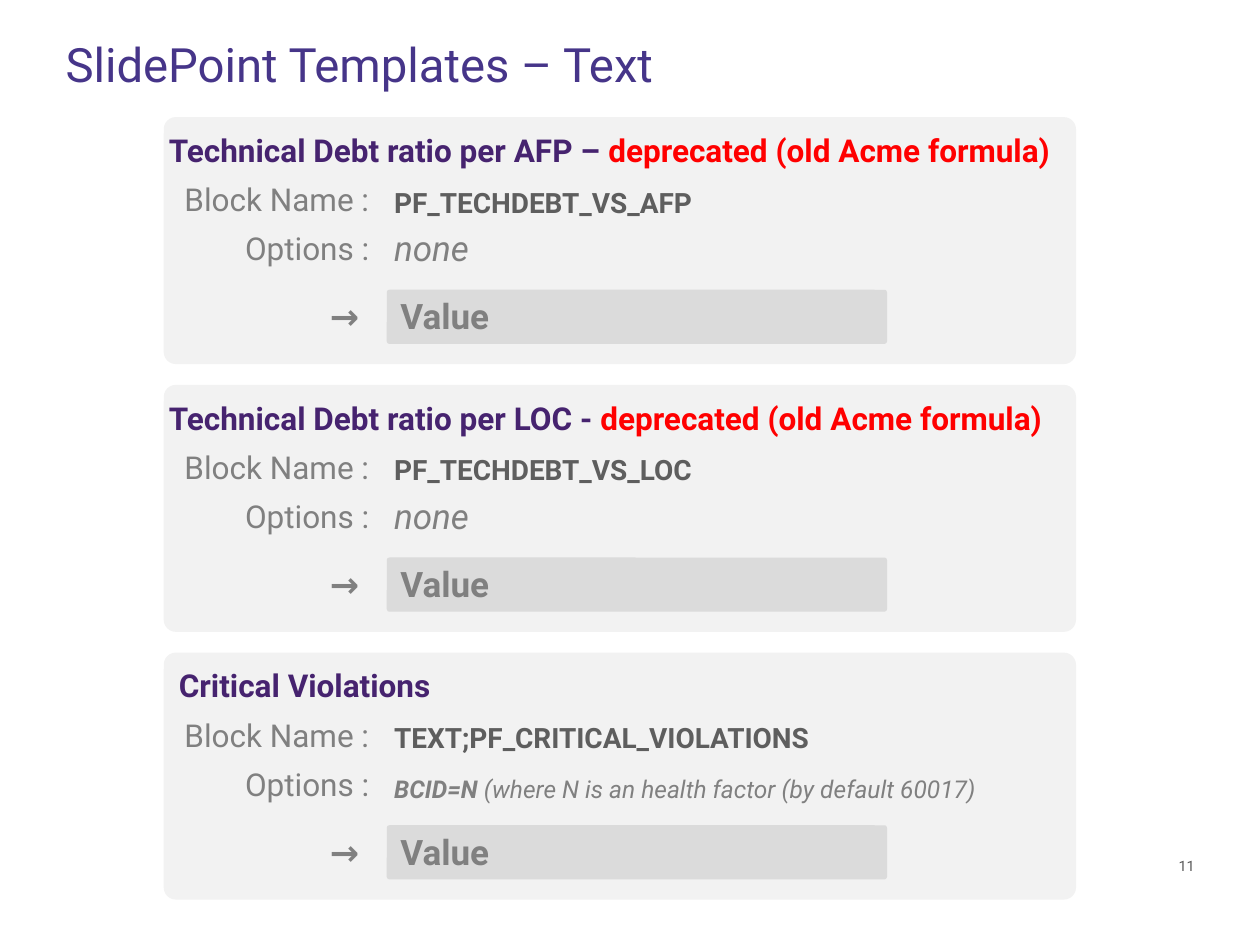
from dataclasses import dataclass

from lxml.etree import SubElement
from pptx import Presentation
from pptx.dml.color import RGBColor
from pptx.enum.shapes import MSO_SHAPE
from pptx.enum.text import MSO_ANCHOR, MSO_AUTO_SIZE, PP_ALIGN
from pptx.oxml.ns import qn
from pptx.util import Inches, Pt


@dataclass(frozen=True)
class Theme:
    font: str = "Roboto"
    title: str = "463589"
    heading: str = "46236F"
    warning: str = "FF0000"
    name: str = "5E5E5E"
    label: str = "808080"
    number: str = "595959"
    card: str = "F2F2F2"
    value: str = "BFBFBF"
    title_pt: float = 27
    large_pt: float = 20
    label_pt: float = 18
    name_pt: float = 16
    note_pt: float = 14
    number_pt: float = 8.2


T = Theme()
TITLE = "SlidePoint Templates – Text"
PAGE = "11"
DEPRECATED = ("deprecated (old Acme formula)", {"color": T.warning})
NONE = dict(runs=["none"], size=T.large_pt, dy=0.82, h=0.44)
CARDS = [
    dict(heading=["Technical Debt ratio per AFP – ", DEPRECATED], x=1.14,
         name="PF_TECHDEBT_VS_AFP", options=NONE),
    dict(heading=["Technical Debt ratio per LOC - ", DEPRECATED], x=1.14,
         name="PF_TECHDEBT_VS_LOC", options=NONE),
    dict(heading=["Critical Violations"], x=1.22,
         name="TEXT;PF_CRITICAL_VIOLATIONS",
         options=dict(runs=[("BCID=N", {"bold": True}),
                            " (where N is an health factor (by default 60017)"],
                      size=T.note_pt, dy=0.91, h=0.34)),
]
LEFT, TOP, WIDTH, HEIGHT, PITCH = 1.3, 0.93, 7.24, 1.96, 2.125
SPLIT = 3.03
LABELS = [("Block Name :", 0.45, 1.7), ("Options :", 0.84, 1.21)]


def write(tf, runs, size, color, bold=False, italic=False, align=PP_ALIGN.LEFT,
          anchor=MSO_ANCHOR.TOP, wrap=True, inset=0.1):
    tf.word_wrap = wrap
    tf.auto_size = MSO_AUTO_SIZE.NONE
    tf.vertical_anchor = anchor
    tf.margin_left = tf.margin_right = Inches(inset)
    p = tf.paragraphs[0]
    p.alignment = align
    for run in runs:
        text, own = (run, {}) if isinstance(run, str) else run
        r = p.add_run()
        r.text = text
        r.font.name = T.font
        r.font.size = Pt(size)
        r.font.bold = own.get("bold", bold)
        r.font.italic = italic
        r.font.color.rgb = RGBColor.from_string(own.get("color", color))
    return p


def add_text(s, box, runs, size, color, **fmt):
    tb = s.shapes.add_textbox(*map(Inches, box))
    return write(tb.text_frame, runs, size, color, **fmt)


def add_panel(s, box, color, alpha=None):
    sp = s.shapes.add_shape(MSO_SHAPE.ROUNDED_RECTANGLE, *map(Inches, box))
    sp.adjustments[0] = 0.049
    sp.shadow.inherit = False
    sp.line.fill.background()
    sp.fill.solid()
    sp.fill.fore_color.rgb = RGBColor.from_string(color)
    if alpha is not None:
        clr = sp.fill._xPr.find(qn("a:solidFill"))[0]
        SubElement(clr, qn("a:alpha"), val=str(alpha * 1000))


def add_card(s, card, top):
    opts = card["options"]
    add_panel(s, (LEFT, top, WIDTH, HEIGHT), T.card)
    add_text(s, (card["x"], top + 0.06, 7.8, 0.4), card["heading"],
             T.label_pt, T.heading, bold=True, inset=0.2)
    add_text(s, (SPLIT, top + 0.49, 4.48, 0.37), [card["name"]],
             T.name_pt, T.name, bold=True)
    for text, dy, w in LABELS:
        add_text(s, (SPLIT - w, top + dy, w, 0.4), [text],
                 T.label_pt, T.label, align=PP_ALIGN.RIGHT, wrap=False)
    add_text(s, (SPLIT, top + opts["dy"], 6.77, opts["h"]), opts["runs"],
             opts["size"], T.label, italic=True)
    add_panel(s, (3.07, top + 1.37, 3.97, 0.43), T.value, alpha=45)
    for text, x, w in [("→", 2.52, 0.48), ("Value", 3.08, 4.2)]:
        add_text(s, (x, top + 1.36, w, 0.44), [text],
                 T.large_pt, T.label, bold=True)


def main():
    prs = Presentation()
    prs.slide_width, prs.slide_height = Inches(10), Inches(7.5)
    s = prs.slides.add_slide(prs.slide_layouts[5])
    title = s.shapes.title
    title.left, title.top, title.width, title.height = map(
        Inches, (0.42, 0, 9.15, 1.06))
    p = write(title.text_frame, [TITLE], T.title_pt, T.title,
              anchor=MSO_ANCHOR.MIDDLE)
    p.line_spacing = 0.9
    add_text(s, (7.49, 6.67, 2.09, 0.4), [PAGE], T.number_pt, T.number,
             align=PP_ALIGN.RIGHT, anchor=MSO_ANCHOR.MIDDLE)
    for i, card in enumerate(CARDS):
        add_card(s, card, TOP + i * PITCH)
    prs.save("out.pptx")


if __name__ == "__main__":
    main()
